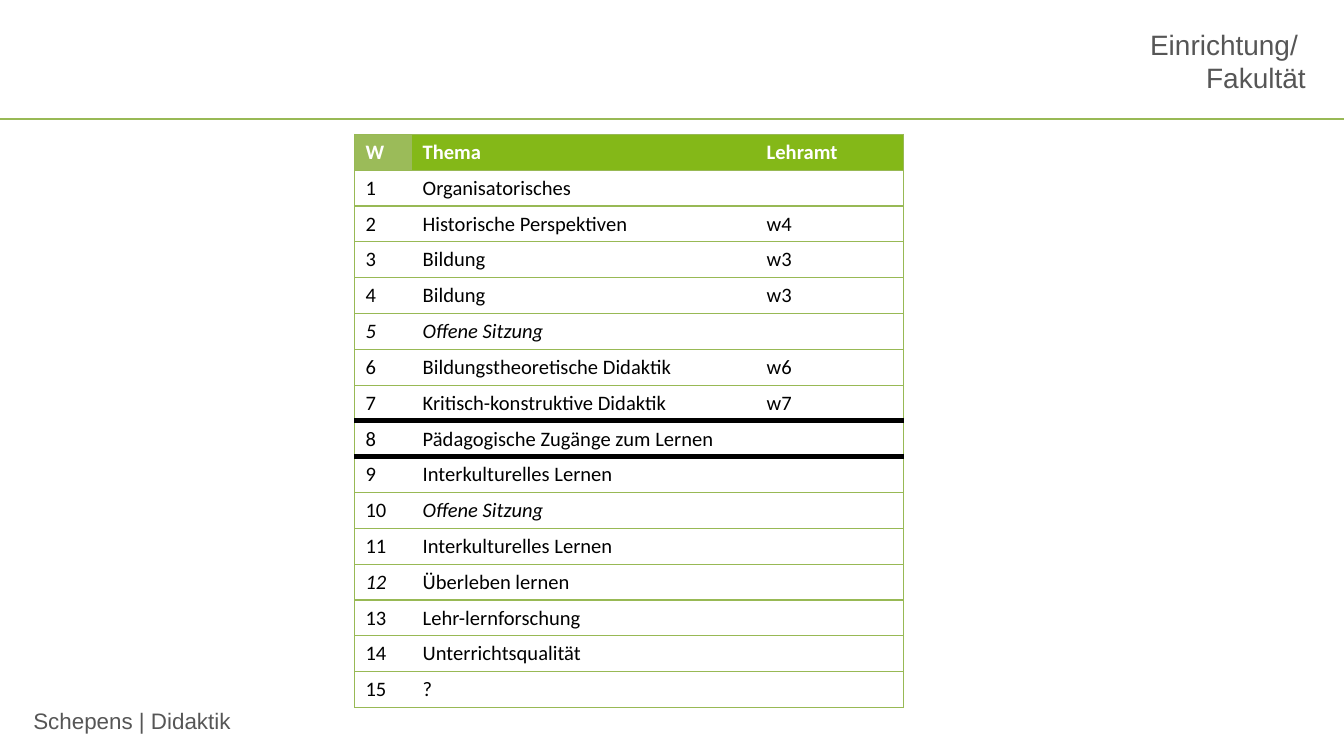
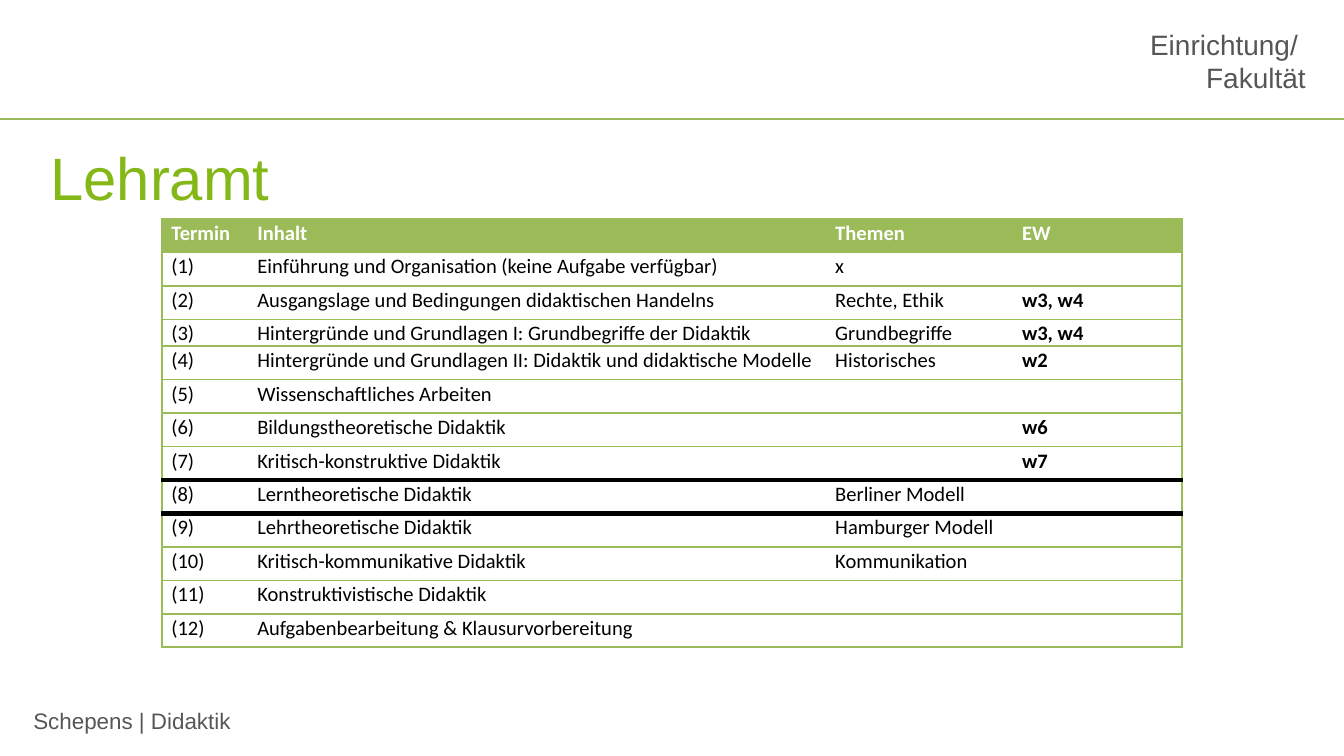
from lxml import etree
from pptx import Presentation
from pptx import util as u
from pptx.dml.color import RGBColor
from pptx.enum import shapes, text
from pptx.oxml.ns import qn

COLUMNS = 100
ROWS = COLUMNS * 9 / 16
GREEN, LINE_GREEN, SOFT_GREEN = "84B818", "98B955", "9BBB59"
GREY, BLACK, WHITE = "565656", "000000", "FFFFFF"
HEAVY_EDGES = {8, 9}
PLAIN_TABLE = "{2D5ABB26-0587-4C30-8999-92F81FD0307C}"

SESSIONS = [
    ("W", "Thema", "Lehramt"),
    ("1", "Organisatorisches", ""),
    ("2", "Historische Perspektiven", "w4"),
    ("3", "Bildung", "w3"),
    ("4", "Bildung", "w3"),
    ("5", "Offene Sitzung", ""),
    ("6", "Bildungstheoretische Didaktik", "w6"),
    ("7", "Kritisch-konstruktive Didaktik", "w7"),
    ("8", "Pädagogische Zugänge zum Lernen", ""),
    ("9", "Interkulturelles Lernen", ""),
    ("10", "Offene Sitzung", ""),
    ("11", "Interkulturelles Lernen", ""),
    ("12", "Überleben lernen", ""),
    ("13", "Lehr-lernforschung", ""),
    ("14", "Unterrichtsqualität", ""),
    ("15", "?", ""),
]

LESSONS = [
    ("Termin", "Inhalt", "Themen", "EW"),
    ("(1)", "Einführung und Organisation (keine Aufgabe verfügbar)", "x", ""),
    ("(2)", "Ausgangslage und Bedingungen didaktischen Handelns", "Rechte, Ethik", "w3, w4"),
    ("(3)", "Hintergründe und Grundlagen I: Grundbegriffe der Didaktik", "Grundbegriffe", "w3, w4"),
    ("(4)", "Hintergründe und Grundlagen II: Didaktik und didaktische Modelle", "Historisches", "w2"),
    ("(5)", "Wissenschaftliches Arbeiten", "", ""),
    ("(6)", "Bildungstheoretische Didaktik", "", "w6"),
    ("(7)", "Kritisch-konstruktive Didaktik", "", "w7"),
    ("(8)", "Lerntheoretische Didaktik", "Berliner Modell", ""),
    ("(9)", "Lehrtheoretische Didaktik", "Hamburger Modell", ""),
    ("(10)", "Kritisch-kommunikative Didaktik", "Kommunikation", ""),
    ("(11)", "Konstruktivistische Didaktik", "", ""),
    ("(12)", "Aufgabenbearbeitung & Klausurvorbereitung", "", ""),
]


def color(value):
    return RGBColor.from_string(value)


class Deck:
    def __init__(self):
        self.presentation = Presentation()
        self.presentation.slide_width = u.Inches(10)
        self.presentation.slide_height = u.Inches(10 * 9 / 16)
        self.slide = None

    def across(self, columns):
        return round(self.presentation.slide_width * columns / COLUMNS)

    def down(self, rows):
        return round(self.presentation.slide_height * rows / ROWS)

    def area(self, left, top, width, height):
        return self.across(left), self.down(top), self.across(width), self.down(height)

    def add_slide(self, layout):
        layouts = self.presentation.slide_layouts
        self.slide = self.presentation.slides.add_slide(layouts.get_by_name(layout))
        self.rule(8.87)
        self.label((1.5, 52.1, 33.4, 2.8), ["Schepens | Didaktik"], 12)
        header = self.label((53.8, 2, 43.35, 5.02), ["Einrichtung/ ", "Fakultät"], 15,
                            text.PP_ALIGN.RIGHT)
        header.vertical_anchor = text.MSO_ANCHOR.BOTTOM
        header.margin_left = header.margin_right = 0
        header.margin_top = header.margin_bottom = 0

    def run(self, paragraph, words, size, ink, font="Arial", bold=False, italic=False):
        run = paragraph.add_run()
        run.text = words
        run.font.name, run.font.size = font, u.Pt(size)
        run.font.bold, run.font.italic = bold, italic
        run.font.color.rgb = color(ink)

    def rule(self, row):
        y = self.down(row)
        line = self.slide.shapes.add_connector(
            shapes.MSO_CONNECTOR.STRAIGHT, 0, y, self.across(COLUMNS), y)
        line.line.color.rgb = color(LINE_GREEN)
        line.line.width = u.Pt(0.75)
        etree.SubElement(line._element.spPr, qn("a:effectLst"))

    def label(self, area, lines, size, align=text.PP_ALIGN.LEFT):
        frame = self.slide.shapes.add_textbox(*self.area(*area)).text_frame
        frame.word_wrap = True
        for index, words in enumerate(lines):
            paragraph = frame.add_paragraph() if index else frame.paragraphs[0]
            paragraph.alignment = align
            self.run(paragraph, words, size, GREY)
        return frame

    def title(self, words):
        title = self.slide.shapes.title
        title.left, title.top, title.width, title.height = self.area(2.75, 10, 94.5, 5.5)
        frame = title.text_frame
        frame.auto_size = text.MSO_AUTO_SIZE.NONE
        frame.vertical_anchor = text.MSO_ANCHOR.TOP
        frame.margin_top = u.Inches(0.05)
        paragraph = frame.paragraphs[0]
        paragraph.alignment = text.PP_ALIGN.LEFT
        self.run(paragraph, words, 32, GREEN)

    def border(self, cell, side, ink, points):
        properties = cell._tc.get_or_add_tcPr()
        line = etree.SubElement(properties, qn("a:ln" + side), w=str(u.Pt(points)))
        fill = etree.SubElement(line, qn("a:solidFill"))
        etree.SubElement(fill, qn("a:srgbClr"), val=ink)

    def borders(self, cell, row, column, last_column, ink, points):
        if column == 0:
            self.border(cell, "L", ink, points)
        if column == last_column:
            self.border(cell, "R", ink, points)
        for side, edge in (("T", row), ("B", row + 1)):
            style = (BLACK, 3) if edge in HEAVY_EDGES else (ink, points)
            self.border(cell, side, *style)

    def table(self, left, top, widths, heights, data, head_fills, edge, margins,
              spacing=None, bold_columns=(), italics=()):
        area = self.area(left, top, sum(widths), sum(heights))
        frame = self.slide.shapes.add_table(len(data), len(widths), *area)
        table = frame.table
        table.first_row = table.horz_banding = False
        table._tbl.tblPr.find(qn("a:tableStyleId")).text = PLAIN_TABLE
        for column, width in zip(table.columns, widths):
            column.width = self.across(width)
        for row, height in zip(table.rows, heights):
            row.height = self.down(height)
        for row, entries in enumerate(data):
            for column, words in enumerate(entries):
                cell = table.cell(row, column)
                cell.margin_left = cell.margin_right = u.Inches(margins[0])
                cell.margin_top = cell.margin_bottom = u.Inches(margins[1])
                self.borders(cell, row, column, len(widths) - 1, *edge)
                cell.fill.solid()
                cell.fill.fore_color.rgb = color(WHITE if row else head_fills[column])
                paragraph = cell.text_frame.paragraphs[0]
                if spacing:
                    paragraph.line_spacing = 1.07
                    paragraph.space_before = paragraph.space_after = u.Pt(spacing)
                if words:
                    self.run(paragraph, words, 11, BLACK if row else WHITE, "Calibri",
                             row == 0 or column in bold_columns, words in italics)
                else:
                    etree.SubElement(paragraph._p, qn("a:endParaRPr"), sz="1100")


def main():
    deck = Deck()

    deck.add_slide("Blank")
    deck.table(26.4, 10, [4.25, 25.6, 11], [42.7 / len(SESSIONS)] * len(SESSIONS), SESSIONS,
               [SOFT_GREEN, GREEN, GREEN], (LINE_GREEN, 0.75), (0.08, 0.04),
               italics={"5", "12", "Offene Sitzung"})

    deck.add_slide("Title Only")
    deck.title("Lehramt")
    heights = [2 if lesson[0] == "(3)" else 2.49 for lesson in LESSONS]
    deck.table(12.05, 16.3, [6.4, 43, 13.9, 12.6], heights, LESSONS,
               [SOFT_GREEN] * 4, (SOFT_GREEN, 1), (0.07, 0),
               spacing=6, bold_columns={3})

    deck.presentation.save("out.pptx")


if __name__ == "__main__":
    main()
